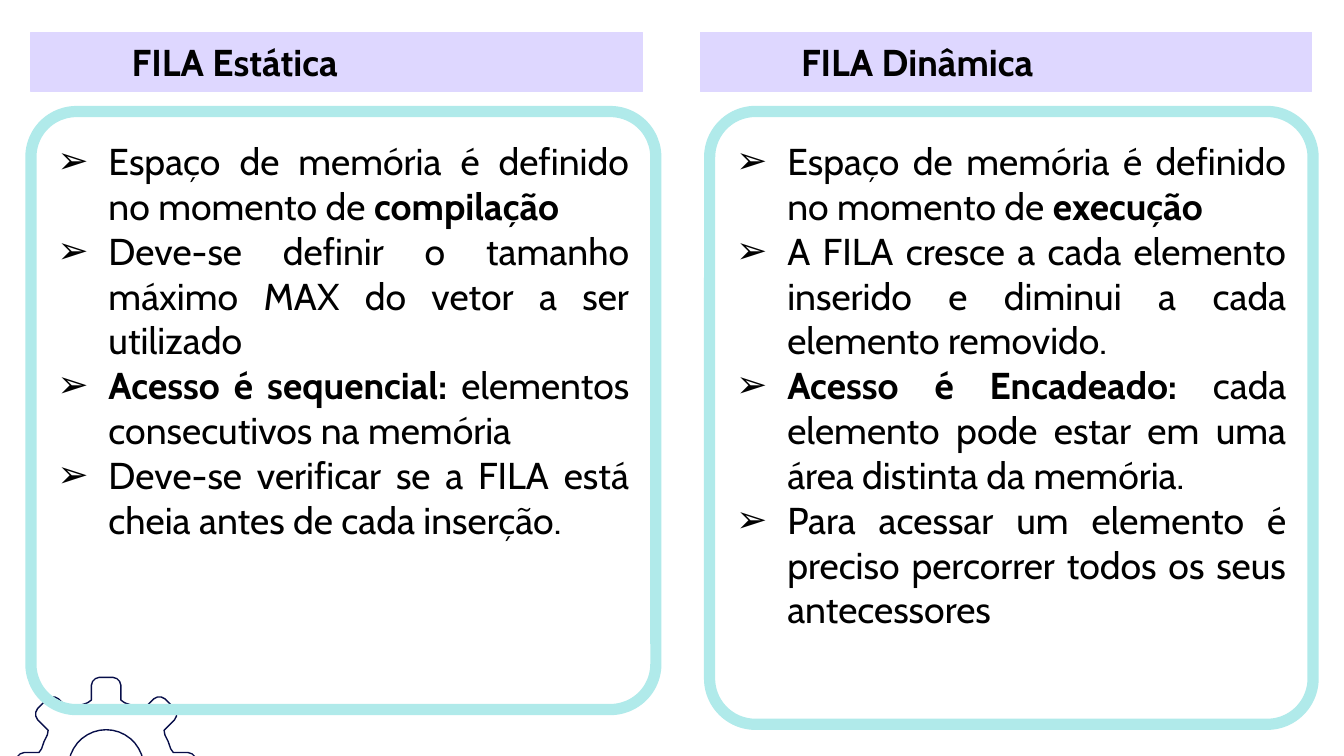
from math import cos, sin, radians

from lxml.etree import SubElement
from pptx import Presentation
from pptx.dml.color import RGBColor
from pptx.enum.shapes import MSO_SHAPE as Shape
from pptx.enum.text import MSO_ANCHOR as Anchor, MSO_AUTO_SIZE as AutoSize, PP_ALIGN as Align
from pptx.oxml.ns import qn
from pptx.util import Inches, Pt

FONT = "Cabin"
BLACK, LILAC, AQUA, NAVY = "000000", "DED7FF", "B0EAEA", "070E49"

# Each bullet is a list of (text, bold) runs.
STATIC_QUEUE = [
    [("Espaço de memória é definido no momento de ", False), ("compilação", True)],
    [("Deve-se definir o tamanho máximo MAX do vetor a ser utilizado", False)],
    [("Acesso é sequencial: ", True), ("elementos consecutivos na memória", False)],
    [("Deve-se verificar se a FILA está cheia antes de cada inserção.", False)],
]
DYNAMIC_QUEUE = [
    [("Espaço de memória é definido no momento de ", False), ("execução", True)],
    [("A FILA cresce a cada elemento inserido e diminui a cada elemento removido.", False)],
    [("Acesso é Encadeado: ", True),
     ("cada elemento pode estar em uma área distinta da memória.", False)],
    [("Para acessar um elemento é preciso percorrer todos os seus antecessores ", False)],
]


def color(value):
    return RGBColor.from_string(value)


def set_line(shape, line_color, width):
    shape.line.color.rgb = color(line_color)
    shape.line.width = Pt(width)


def add_run(para, text, bold):
    span = para.add_run()
    span.text = text
    span.font.name = FONT
    span.font.size = Pt(20)
    span.font.bold = bold
    span.font.color.rgb = color(BLACK)


def set_indent(para, left, first):
    properties = para._p.get_or_add_pPr()
    properties.set("marL", str(Inches(left)))
    properties.set("indent", str(Inches(first)))
    return properties


def add_bullet(para, runs):
    para.alignment = Align.JUSTIFY
    properties = set_indent(para, 0.38, -0.38)
    SubElement(properties, qn("a:buFont")).set("typeface", "Arial")
    SubElement(properties, qn("a:buChar")).set("char", "➢")
    for text, bold in runs:
        add_run(para, text, bold)


def fill_heading(box, text, left):
    box.left, box.top = Inches(left), Inches(0.24)
    box.width, box.height = Inches(4.55), Inches(0.44)
    box.fill.solid()
    box.fill.fore_color.rgb = color(LILAC)
    set_line(box, LILAC, 0.75)
    frame = box.text_frame
    frame.auto_size = AutoSize.NONE
    frame.vertical_anchor = Anchor.TOP
    para = frame.paragraphs[0]
    para.space_before = Pt(0)
    set_indent(para, 0.65, 0)
    add_run(para, text, True)


def add_panel(page, bullets, left, width, height):
    box = page.shapes.add_shape(
        Shape.ROUNDED_RECTANGLE, Inches(left), Inches(0.83), Inches(width), Inches(height))
    box.adjustments[0] = 0.076
    box.shadow.inherit = False
    box.fill.background()
    set_line(box, AQUA, 6)
    frame = box.text_frame
    frame.word_wrap = True
    frame.vertical_anchor = Anchor.TOP
    frame.margin_left = frame.margin_right = Inches(0.1)
    frame.margin_top = frame.margin_bottom = Inches(0.1)
    for index, runs in enumerate(bullets):
        para = frame.add_paragraph() if index else frame.paragraphs[0]
        add_bullet(para, runs)


def add_gear(page, center_x, center_y, teeth=8):
    """Draw a gear outline with rounded teeth and a round hole."""
    def place(angle, along, across=0):
        turn = radians(angle)
        return (Inches(center_x + along * cos(turn) - across * sin(turn)),
                Inches(center_y + along * sin(turn) + across * cos(turn)))

    half_tooth = [(0.5, 0.11), (0.61, 0.11), (0.64, 0.1), (0.66, 0.08), (0.67, 0.05)]
    tooth = [(along, -across) for along, across in half_tooth] + half_tooth[::-1]
    step = 360 / teeth
    rim = []
    for index in range(teeth):
        angle = index * step
        rim += [place(angle, along, across) for along, across in tooth]
        rim += [place(angle + turn, 0.5) for turn in (16, 22.5, 29)]
    hole = [place(angle, 0.28) for angle in range(0, 360, 10)]

    builder = page.shapes.build_freeform(*rim[0], scale=1.0)
    builder.add_line_segments(rim[1:], close=True)
    builder.move_to(*hole[0])
    builder.add_line_segments(hole[1:], close=True)
    gear = builder.convert_to_shape()
    gear.shadow.inherit = False
    gear.fill.background()
    set_line(gear, NAVY, 0.75)


def main():
    deck = Presentation()
    deck.slide_width = Inches(10)
    deck.slide_height = deck.slide_width * 9 // 16
    page = deck.slides.add_slide(deck.slide_layouts.get_by_name("Comparison"))
    holders = {holder.placeholder_format.idx: holder for holder in page.placeholders}

    add_gear(page, 0.79, 5.71)
    fill_heading(holders.pop(1), "FILA Estática", 0.23)
    add_panel(page, STATIC_QUEUE, 0.23, 4.65, 4.45)
    fill_heading(holders.pop(3), "FILA Dinâmica", 5.21)
    add_panel(page, DYNAMIC_QUEUE, 5.28, 4.49, 4.56)

    for unused in holders.values():
        unused.element.getparent().remove(unused.element)
    deck.save("out.pptx")


if __name__ == "__main__":
    main()
